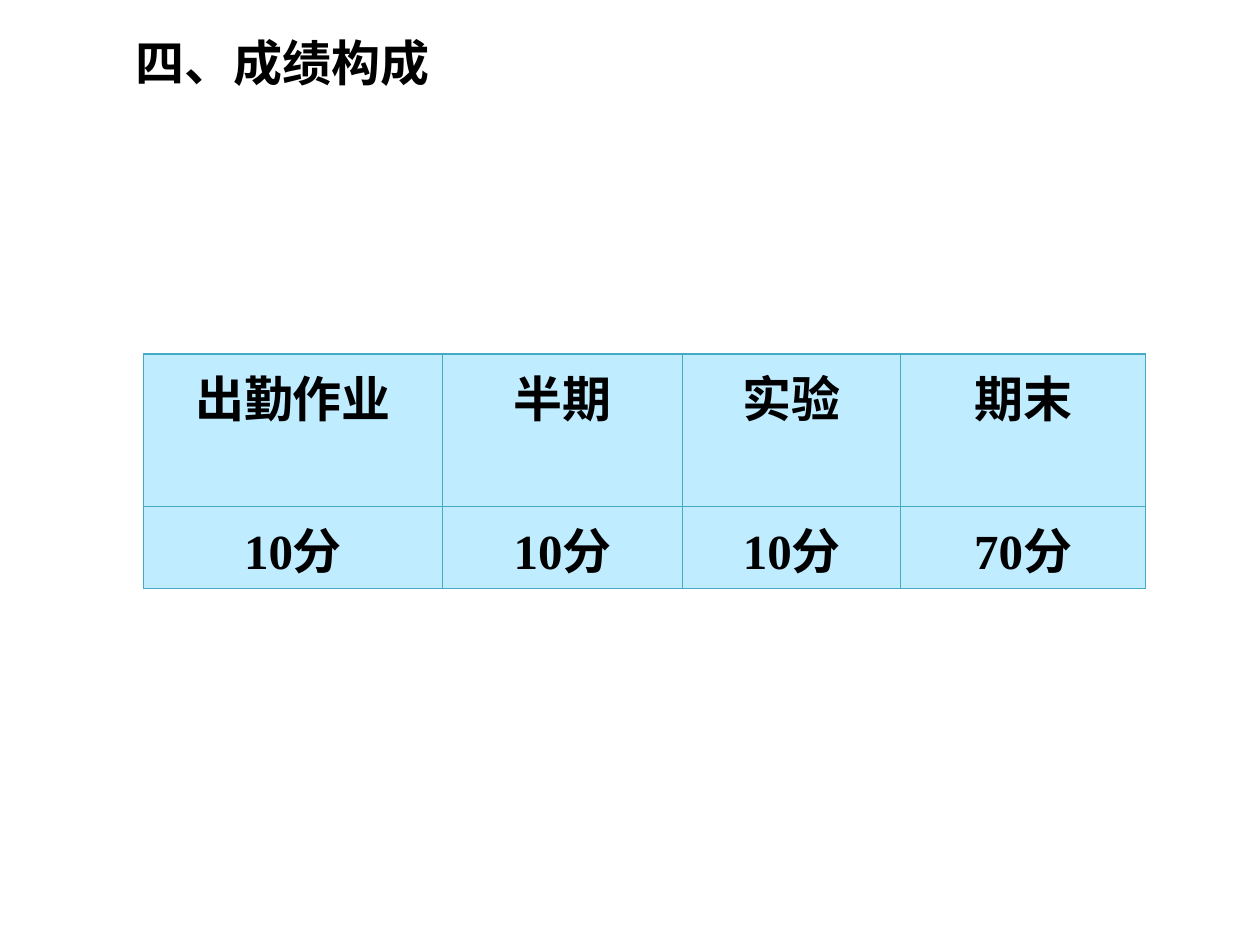
from dataclasses import dataclass

import pptx
import pptx.dml.color
import pptx.enum.text
import pptx.oxml
import pptx.oxml.ns
import pptx.util
from pptx.util import Inches


@dataclass(frozen=True)
class Theme:
    ink: str = "000000"
    cell: str = "BFECFF"
    border: str = "46AAC5"
    size: float = 28
    border_width: float = 0.75
    title_font: str = "Calibri"
    table_font: str = "Times New Roman"


THEME = Theme()
SCORES = {"出勤作业": "10分", "半期": "10分", "实验": "10分", "期末": "70分"}
COLUMN_WIDTHS = (2.37, 1.91, 1.73, 1.94)
ROW_HEIGHTS = (1.21, 0.65)


def rgb(code):
    return pptx.dml.color.RGBColor.from_string(code)


def write(frame, text, *, font, align="LEFT", before=0):
    """Put bold text in the frame's first paragraph."""
    para = frame.paragraphs[0]
    para.alignment = getattr(pptx.enum.text.PP_ALIGN, align)
    para.space_before = pptx.util.Pt(before)
    span = para.add_run()
    span.text = text
    span.font.name = font
    span.font.size = pptx.util.Pt(THEME.size)
    span.font.bold = True
    span.font.color.rgb = rgb(THEME.ink)


def style_cell(cell):
    """Draw all four borders, then fill the cell."""
    properties = cell._tc.get_or_add_tcPr()
    width = pptx.util.Pt(THEME.border_width)
    for side in ("lnL", "lnR", "lnT", "lnB"):
        properties.append(pptx.oxml.parse_xml(
            f'<a:{side} {pptx.oxml.ns.nsdecls("a")} w="{width}"><a:solidFill>'
            f'<a:srgbClr val="{THEME.border}"/></a:solidFill></a:{side}>'))
    cell.fill.solid()
    cell.fill.fore_color.rgb = rgb(THEME.cell)


def add_title(page, left, top, width, height):
    box = page.shapes.add_textbox(left, top, width, height)
    box.text_frame.word_wrap = True
    box.text_frame.auto_size = pptx.enum.text.MSO_AUTO_SIZE.SHAPE_TO_FIT_TEXT
    write(box.text_frame, "四、成绩构成", font=THEME.title_font)


def add_scores(page, left, top, width, height):
    rows = (tuple(SCORES), tuple(SCORES.values()))
    table = page.shapes.add_table(
        len(rows), len(SCORES), left, top, width, height).table
    table.first_row = table.horz_banding = False
    for column, size in zip(table.columns, COLUMN_WIDTHS):
        column.width = Inches(size)
    for row, size, texts in zip(table.rows, ROW_HEIGHTS, rows):
        row.height = Inches(size)
        for cell, text in zip(row.cells, texts):
            style_cell(cell)
            write(cell.text_frame, text, font=THEME.table_font,
                  align="CENTER", before=0.2 * THEME.size)


def main():
    deck = pptx.Presentation()
    deck.slide_width, deck.slide_height = Inches(10), Inches(7.5)
    page = deck.slides.add_slide(deck.slide_layouts[6])

    # Heading
    add_title(page, Inches(0.98), Inches(0.21), Inches(6.33), Inches(0.57))
    # Score table
    add_scores(page, Inches(1.14), Inches(2.81),
               Inches(sum(COLUMN_WIDTHS)), Inches(sum(ROW_HEIGHTS)))

    deck.save("out.pptx")


if __name__ == "__main__":
    main()
